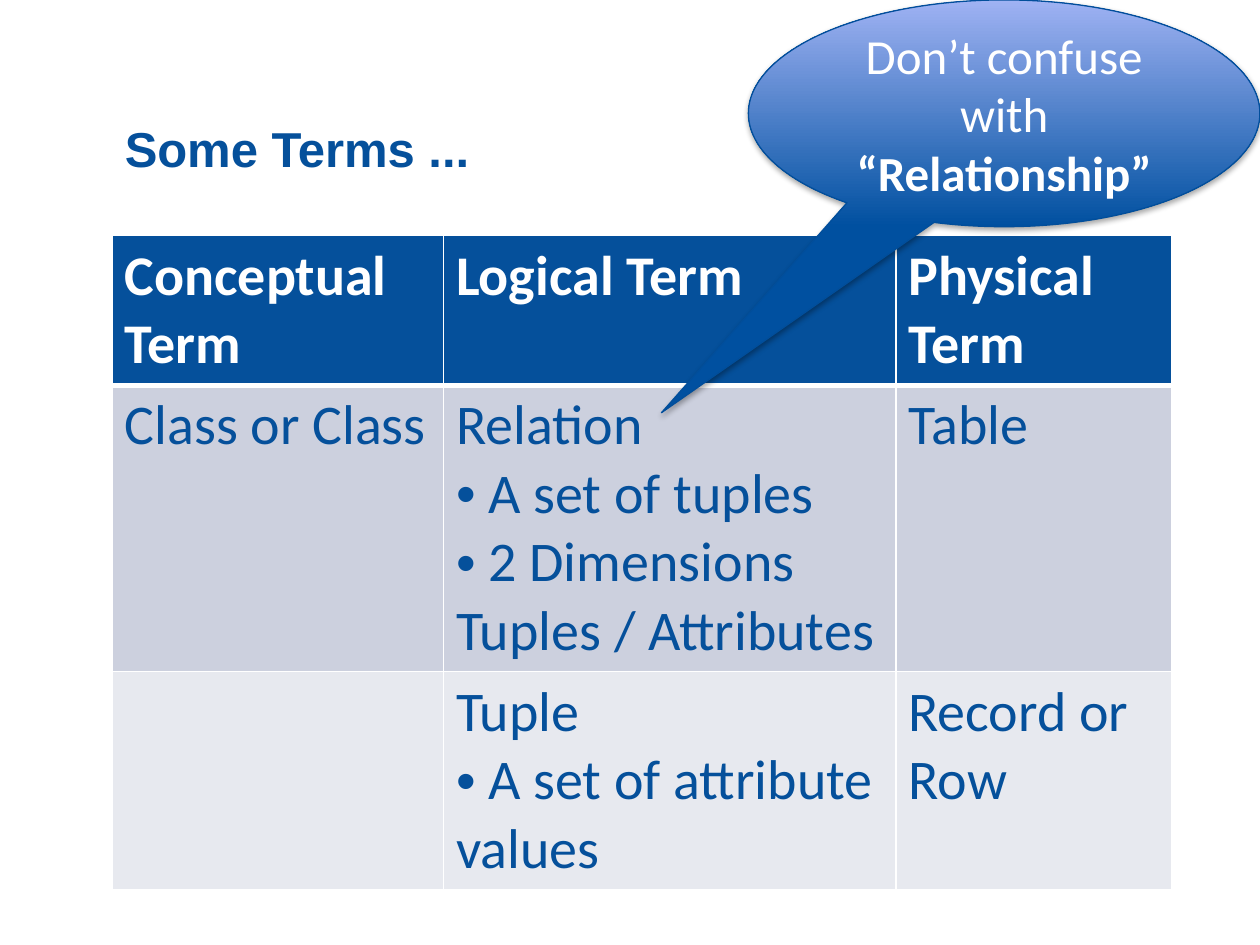
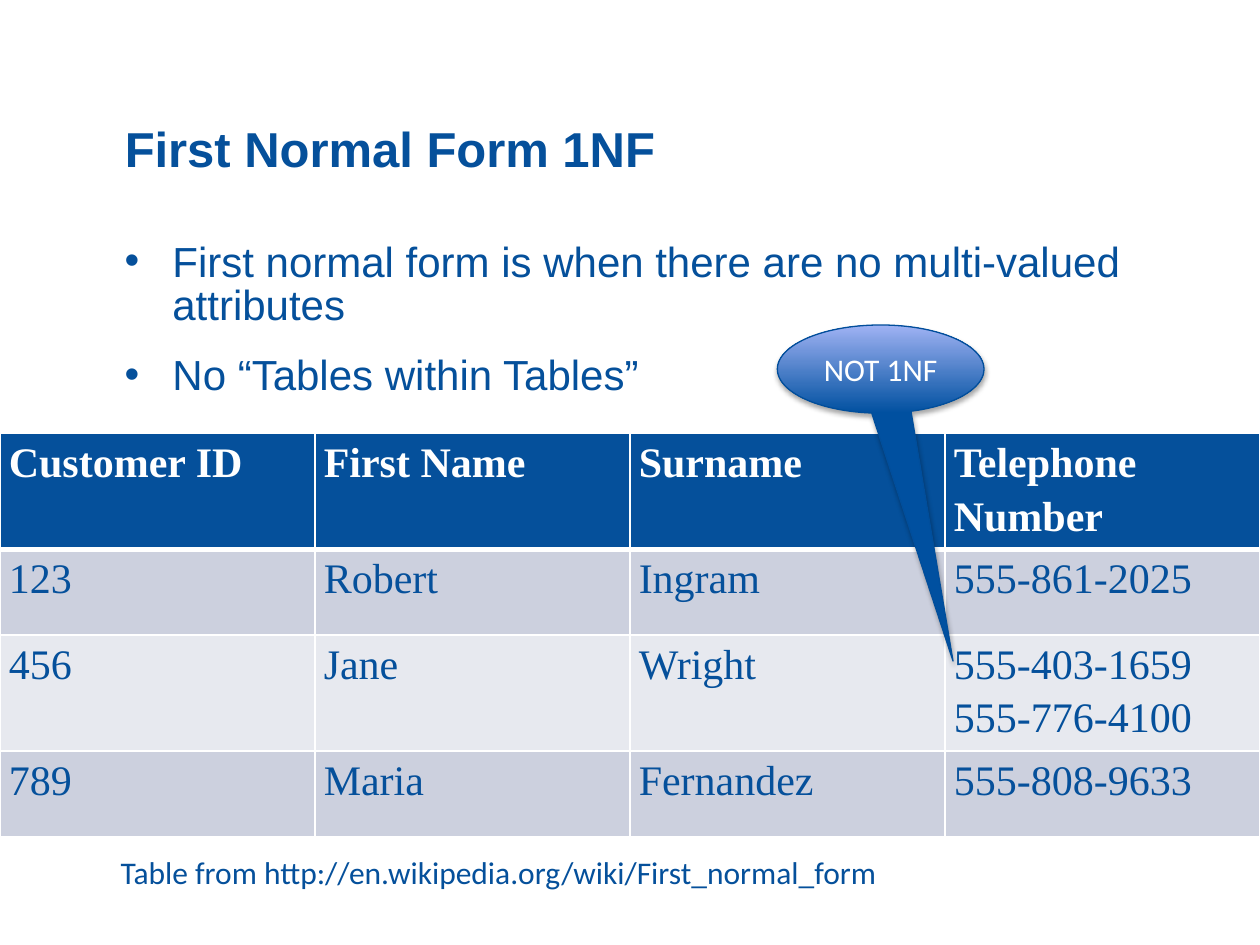
"""Build two slides on relational terms and first normal form."""
from lxml.etree import SubElement
from pptx import Presentation
from pptx.dml.color import RGBColor
from pptx.enum.shapes import MSO_SHAPE
from pptx.enum.text import MSO_ANCHOR, MSO_AUTO_SIZE, PP_ALIGN
from pptx.oxml import parse_xml
from pptx.oxml.ns import nsdecls, qn
from pptx.util import Inches, Pt

COLORS = {
    "ink": "05509B", "white": "FFFFFF", "band": "CCD0DE", "pale": "E7E9EF",
    "deep": "0050A0", "light": "9FB2F3", "outline": "014E9B", "shadow": "000000",
}
HEADING, LABEL, SERIF = "Arial", "Calibri", "Times New Roman"
BULLET = "•"


def rgb(name):
    return RGBColor.from_string(COLORS[name])


class Deck:
    """Holds the shared style and the current slide."""

    def __init__(self):
        self.prs = Presentation()
        self.prs.slide_width, self.prs.slide_height = Inches(10), Inches(7.5)
        self.slide = None

    def add_slide(self, heading):
        self.slide = self.prs.slides.add_slide(self.prs.slide_layouts[5])
        title = self.slide.shapes.title
        title.left, title.top = Inches(0.89), Inches(0.22)
        title.width, title.height = Inches(6.1), Inches(1.24)
        frame = title.text_frame
        frame.auto_size = MSO_AUTO_SIZE.NONE
        frame.vertical_anchor = MSO_ANCHOR.BOTTOM
        paragraph = frame.paragraphs[0]
        paragraph.alignment = PP_ALIGN.LEFT
        self.run(paragraph, heading, HEADING, 28, bold=True)

    def run(self, paragraph, words, face, size, color="ink", bold=False):
        run = paragraph.add_run()
        run.text = words
        font = run.font
        font.name, font.size, font.bold = face, Pt(size), bold
        font.color.rgb = rgb(color)

    def bullet(self, paragraph, hang=0):
        props = paragraph._p.get_or_add_pPr()
        props.set("marL", str(Inches(hang)))
        props.set("indent", str(-Inches(hang)))
        SubElement(props, qn("a:buFont"), typeface="Arial")
        SubElement(props, qn("a:buChar"), char=BULLET)

    def paragraphs(self, frame, count):
        for _ in range(count - 1):
            frame.add_paragraph()
        return frame.paragraphs

    def text_box(self, box, lines, face, size, bulleted=False, fill=None):
        shape = self.slide.shapes.add_textbox(*map(Inches, box))
        if fill:
            shape.fill.solid()
            shape.fill.fore_color.rgb = rgb(fill)
        frame = shape.text_frame
        frame.word_wrap = True
        for paragraph, words in zip(self.paragraphs(frame, len(lines)), lines):
            if bulleted:
                self.bullet(paragraph, hang=0.38)
                paragraph.line_spacing, paragraph.space_after = Pt(25), Pt(15)
            self.run(paragraph, words, face, size)

    def borders(self, cell, row):
        props = cell._tc.get_or_add_tcPr()
        widths = {"L": 1, "R": 1, "T": 3 if row == 1 else 1, "B": 3 if row == 0 else 1}
        for index, (side, width) in enumerate(widths.items()):
            props.insert(index, parse_xml(
                f'<a:ln{side} {nsdecls("a")} w="{Pt(width)}"><a:solidFill>'
                f'<a:srgbClr val="{COLORS["white"]}"/></a:solidFill></a:ln{side}>'))

    def table(self, corner, widths, heights, rows, face, size, spacing=None, insets=None):
        left, top = corner
        grid = self.slide.shapes.add_table(
            len(rows), len(widths), Inches(left), Inches(top),
            Inches(sum(widths)), Inches(sum(heights))).table
        for column, width in zip(grid.columns, widths):
            column.width = Inches(width)
        for row, (texts, height) in enumerate(zip(rows, heights)):
            grid.rows[row].height = Inches(height)
            for column, lines in enumerate(texts):
                cell = grid.cell(row, column)
                cell.fill.solid()
                cell.fill.fore_color.rgb = rgb("ink" if row == 0 else "band" if row % 2 else "pale")
                self.borders(cell, row)
                if insets:
                    side, edge = map(Inches, insets)
                    cell.margin_left = cell.margin_right = side
                    cell.margin_top = cell.margin_bottom = edge
                lines = lines.split("\n")
                for paragraph, words in zip(self.paragraphs(cell.text_frame, len(lines)), lines):
                    if words.startswith(BULLET):
                        self.bullet(paragraph)
                        words = words.removeprefix(BULLET)
                    if spacing:
                        paragraph.line_spacing = spacing
                    if words:
                        self.run(paragraph, words, face, size,
                                 "ink" if row else "white", bold=row == 0)

    def callout(self, box, tip, parts, size):
        shape = self.slide.shapes.add_shape(MSO_SHAPE.OVAL_CALLOUT, *map(Inches, box))
        shape.adjustments[0], shape.adjustments[1] = tip
        shape.fill.gradient()
        shape.fill.gradient_angle = 90
        for stop, color, position in zip(shape.fill.gradient_stops, ("deep", "light"), (0, 1)):
            stop.color.rgb, stop.position = rgb(color), position
        shape.line.color.rgb, shape.line.width = rgb("outline"), Pt(0.75)
        shape.shadow.inherit = False
        effects = shape._element.spPr.find(qn("a:effectLst"))
        effects.append(parse_xml(
            f'<a:outerShdw {nsdecls("a")} blurRad="{Pt(3.1)}" dist="{Pt(1.8)}" dir="5400000" '
            f'rotWithShape="0"><a:srgbClr val="{COLORS["shadow"]}"><a:alpha val="35000"/>'
            '</a:srgbClr></a:outerShdw>'))
        frame = shape.text_frame
        frame.word_wrap = True
        frame.vertical_anchor = MSO_ANCHOR.MIDDLE
        paragraph = frame.paragraphs[0]
        paragraph.alignment = PP_ALIGN.CENTER
        for words, bold in parts:
            self.run(paragraph, words, LABEL, size, "white", bold)


def terms_slide(deck):
    deck.add_slide("Some Terms ...")
    terms = [
        ["Conceptual Term", "Logical Term", "Physical Term"],
        ["Class or Class",
         "Relation\n• A set of tuples\n• 2 Dimensions Tuples / Attributes", "Table"],
        ["", "Tuple\n• A set of attribute values", "Record or Row"],
    ]
    deck.table((0.89, 1.87), [2.63, 3.59, 2.19], [1.17, 2.26, 1.72], terms, LABEL, 32)
    deck.callout((5.94, 0, 4.06, 1.8), (-0.67, 1.32),
                 [("Don’t confuse with ", False), ("“Relationship”", True)], 28)


def normal_form_slide(deck):
    deck.add_slide("First Normal Form 1NF")
    deck.text_box((0.89, 1.87, 8.15, 4.48),
                  ["First normal form is when there are no multi-valued attributes",
                   "No “Tables within Tables”"], HEADING, 24, bulleted=True)
    customers = [
        ["Customer ID", "First Name", "Surname", "Telephone Number"],
        ["123", "Robert", "Ingram", "555-861-2025"],
        ["456", "Jane", "Wright", "555-403-1659\n555-776-4100"],
        ["789", "Maria", "Fernandez", "555-808-9633"],
    ]
    deck.table((0, 3.44), [2.5] * 4, [0.84, 0.68, 0.84, 0.68], customers, SERIF, 24,
               spacing=1.15, insets=(0.07, 0))
    deck.text_box((0.86, 6.72, 8.67, 0.4),
                  ["Table from http://en.wikipedia.org/wiki/First_normal_form"],
                  LABEL, 18, fill="white")
    deck.callout((6.17, 2.58, 1.64, 0.7), (0.35, 3.31), [("NOT 1NF", False)], 18)


def main():
    deck = Deck()
    terms_slide(deck)
    normal_form_slide(deck)
    deck.prs.save("out.pptx")


if __name__ == "__main__":
    main()
